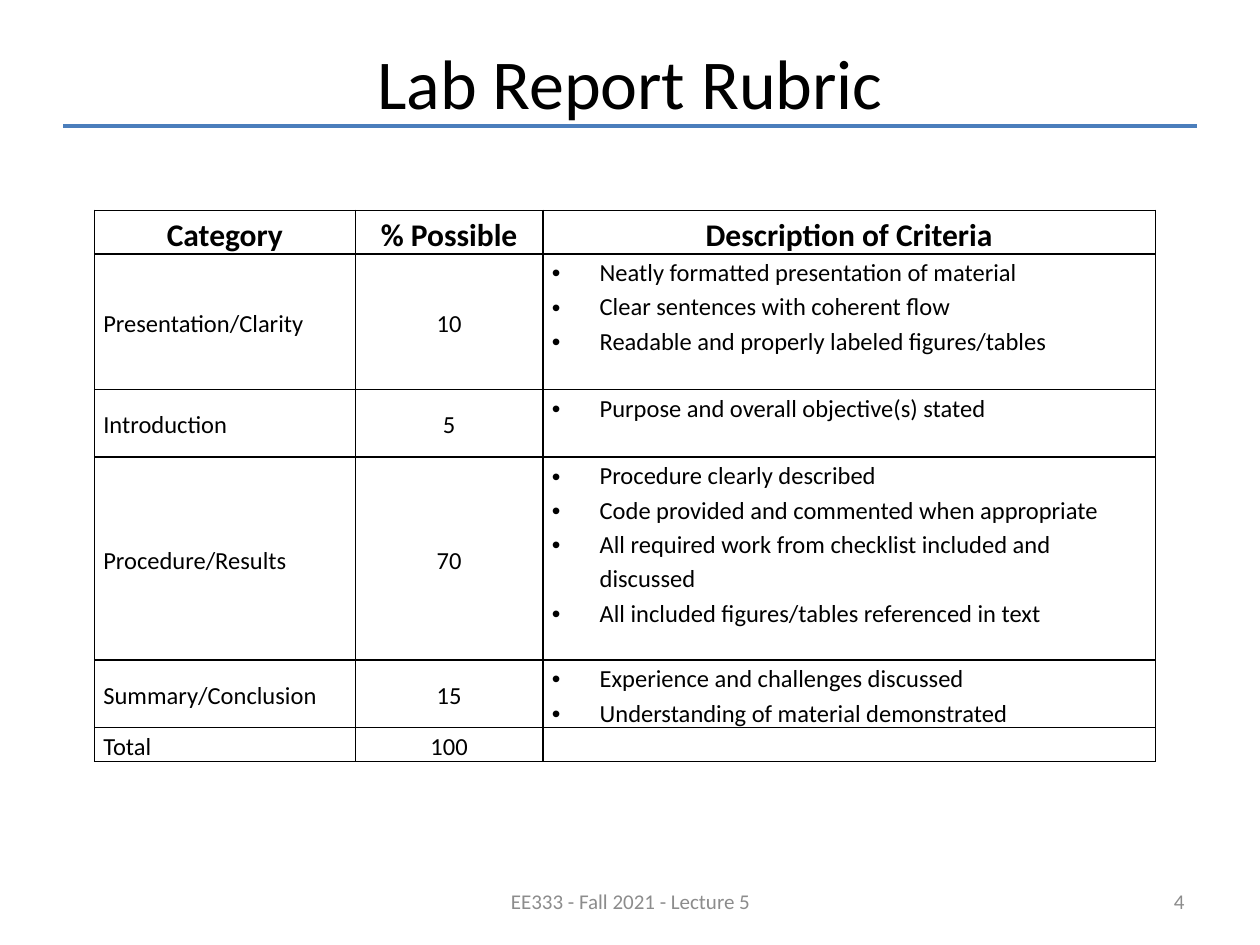
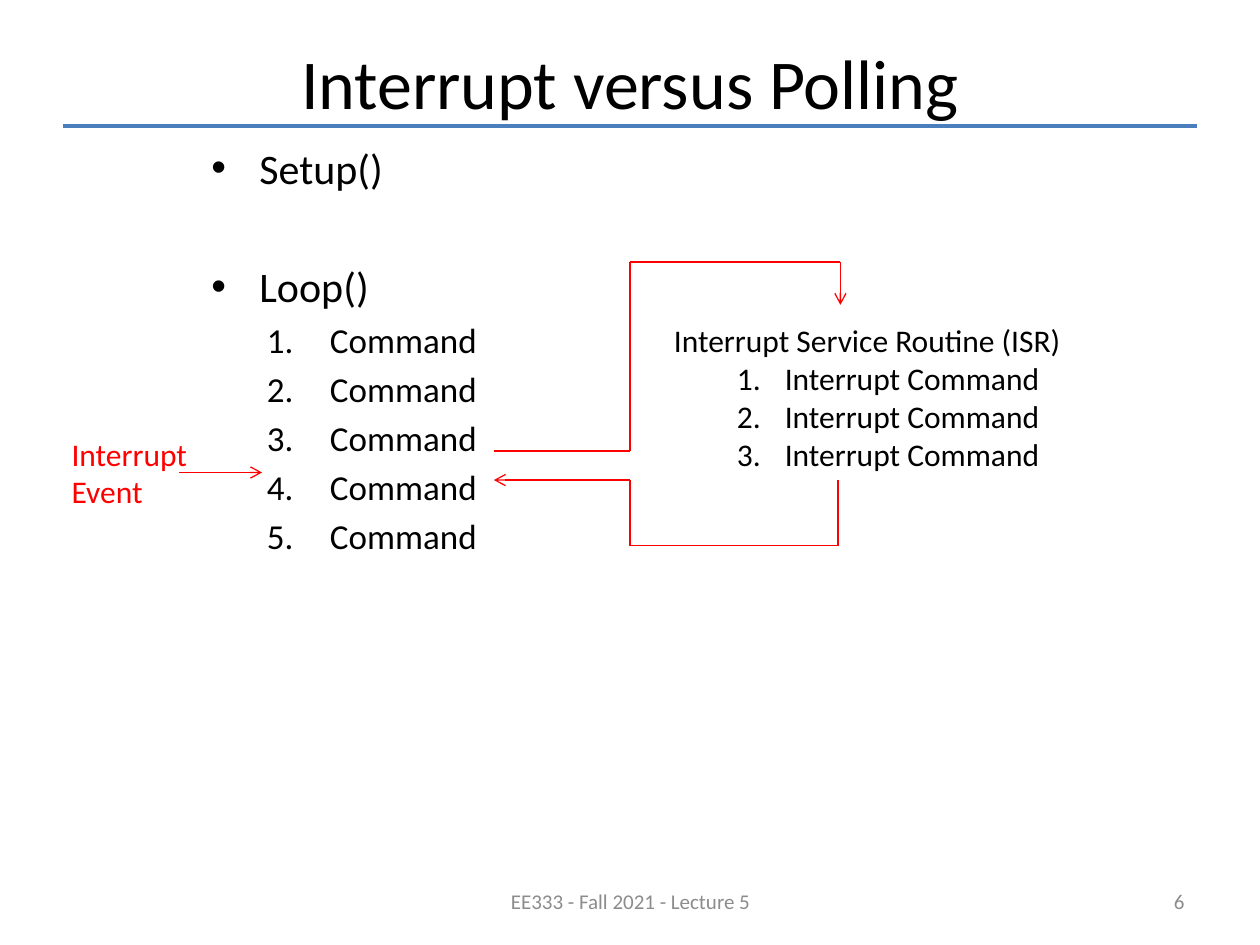
"""Build two lecture slides: a lab report rubric and an interrupt diagram."""
import lxml.etree
import pptx
import pptx.dml.color
import pptx.enum.shapes
import pptx.enum.text
import pptx.oxml.ns
import pptx.util

Inches = pptx.util.Inches
Pt = pptx.util.Pt
RGBColor = pptx.dml.color.RGBColor
ALIGN = pptx.enum.text.PP_ALIGN
ANCHOR = pptx.enum.text.MSO_ANCHOR
qn = pptx.oxml.ns.qn

BLACK = RGBColor(0x00, 0x00, 0x00)
BLUE = RGBColor(0x4B, 0x7E, 0xBC)
GRAY = RGBColor(0x8C, 0x8C, 0x8C)
RED = RGBColor(0xFF, 0x00, 0x00)
FONT = "Calibri"
FOOTER = "EE333 - Fall 2021 - Lecture 5"

HEADS = ["Category", "% Possible", "Description of Criteria"]
WIDTHS = [2.07, 1.49, 4.86]
HEIGHTS = [0.33, 1.03, 0.51, 1.28, 0.51, 0.26]
LINE_GAP = 0.27
RUBRIC = [
    ("Presentation/Clarity", "10", LINE_GAP, [
        "Neatly formatted presentation of material",
        "Clear sentences with coherent flow",
        "Readable and properly labeled figures/tables"]),
    ("Introduction", "5", LINE_GAP, ["Purpose and overall objective(s) stated"]),
    ("Procedure/Results", "70", LINE_GAP, [
        "Procedure clearly described",
        "Code provided and commented when appropriate",
        "All required work from checklist included and discussed",
        "All included figures/tables referenced in text"]),
    ("Summary/Conclusion", "15", 0, [
        "Experience and challenges discussed",
        "Understanding of material demonstrated"]),
    ("Total", "100", 0, []),
]


def add_par(frame, text, size, color=BLACK, align=ALIGN.LEFT, bold=False):
    """Write text in the first empty paragraph or a new one."""
    par = frame.paragraphs[-1]
    if par.text:
        par = frame.add_paragraph()
    par.text = text
    par.alignment = align
    for run in par.runs:
        font = run.font
        font.name, font.size, font.bold = FONT, Pt(size), bold
        font.color.rgb = color
    return par


def add_mark(par, left, hang, number=False):
    """Give a paragraph a hanging bullet or an automatic number."""
    props = par._p.get_or_add_pPr()
    props.set("marL", str(Inches(left)))
    props.set("indent", str(-Inches(hang)))
    if number:
        lxml.etree.SubElement(props, qn("a:buFont"), typeface="+mj-lt")
        lxml.etree.SubElement(props, qn("a:buAutoNum"), type="arabicPeriod")
    else:
        lxml.etree.SubElement(props, qn("a:buFont"), typeface="Arial")
        lxml.etree.SubElement(props, qn("a:buChar"), char="•")


def add_box(slide, left, top, width, height, anchor=ANCHOR.TOP, wrap=True):
    """Add a text box and return its text frame."""
    box = slide.shapes.add_textbox(
        Inches(left), Inches(top), Inches(width), Inches(height))
    frame = box.text_frame
    frame.word_wrap = wrap
    frame.vertical_anchor = anchor
    return frame


def add_line(slide, start, end, color=RED, width=0.75, arrow=False):
    """Draw a straight line, with an arrowhead at its end if asked."""
    line = slide.shapes.add_connector(
        pptx.enum.shapes.MSO_CONNECTOR.STRAIGHT,
        *[Inches(value) for value in (*start, *end)])
    line.line.color.rgb = color
    line.line.width = Pt(width)
    if arrow:
        lxml.etree.SubElement(
            line.line._get_or_add_ln(), qn("a:tailEnd"), type="arrow")
    lxml.etree.SubElement(line._element.spPr, qn("a:effectLst"))


def add_route(slide, points):
    """Draw lines through the points, ending in an arrow."""
    for index, (start, end) in enumerate(zip(points, points[1:]), 2):
        add_line(slide, start, end, arrow=index == len(points))


def add_slide(deck, title, number):
    """Add a slide with the shared title, rule and footer."""
    slide = deck.slides.add_slide(deck.slide_layouts[6])
    add_line(slide, (0.5, 1), (9.5, 1), BLUE, 2)
    frame = add_box(slide, 0.5, 0.3, 9, 0.7, ANCHOR.MIDDLE)
    add_par(frame, title, 40, align=ALIGN.CENTER)
    frame = add_box(slide, 3.42, 6.95, 3.17, 0.4, ANCHOR.MIDDLE)
    add_par(frame, FOOTER, 12, GRAY, ALIGN.CENTER)
    frame = add_box(slide, 7.17, 6.95, 2.33, 0.4, ANCHOR.MIDDLE)
    add_par(frame, str(number), 12, GRAY, ALIGN.RIGHT)
    return slide


def style_cell(cell):
    """Give a cell black borders, no fill and narrow margins."""
    props = cell._tc.get_or_add_tcPr()
    for side in ("lnL", "lnR", "lnT", "lnB"):
        edge = lxml.etree.SubElement(props, qn("a:" + side), w=str(Pt(1)))
        fill = lxml.etree.SubElement(edge, qn("a:solidFill"))
        lxml.etree.SubElement(fill, qn("a:srgbClr"), val=str(BLACK))
    cell.fill.background()
    cell.margin_left = cell.margin_right = Inches(0.07)
    cell.margin_top = cell.margin_bottom = 0
    cell.vertical_anchor = ANCHOR.MIDDLE


def fill_cell(cell, lines, size=14, align=ALIGN.LEFT, bold=False, bullet=False):
    """Write the lines of a cell."""
    for text in lines:
        par = add_par(cell.text_frame, text, size, align=align, bold=bold)
        par.line_spacing = 1.15
        if bullet:
            add_mark(par, 0.38, 0.38)
    if not lines:
        par = cell.text_frame.paragraphs[0]
        lxml.etree.SubElement(par._p, qn("a:endParaRPr"), sz=str(size * 100))


def add_rubric(slide):
    """Add the grading table."""
    table = slide.shapes.add_table(
        len(HEIGHTS), len(WIDTHS), Inches(0.75), Inches(1.67),
        Inches(sum(WIDTHS)), Inches(sum(HEIGHTS))).table
    table.first_row = table.horz_banding = False
    for column, width in zip(table.columns, WIDTHS):
        column.width = Inches(width)
    for row, height in zip(table.rows, HEIGHTS):
        row.height = Inches(height)
    for cell in table.iter_cells():
        style_cell(cell)
    for col, head in enumerate(HEADS):
        fill_cell(table.cell(0, col), [head], 18, ALIGN.CENTER, True)
    for row, (name, points, gap, rules) in enumerate(RUBRIC, 1):
        fill_cell(table.cell(row, 0), [name])
        fill_cell(table.cell(row, 1), [points], align=ALIGN.CENTER)
        fill_cell(table.cell(row, 2), rules, bullet=True)
        table.cell(row, 2).margin_bottom = Inches(gap)


def add_code(slide):
    """List the setup and loop steps of the main program."""
    frame = add_box(slide, 1.58, 1.08, 7.92, 5.62)
    for text, space in (("Setup()", 4.8), ("Loop()", 38.9)):
        par = add_par(frame, text, 24)
        par.space_before = Pt(space)
        add_mark(par, 0.38, 0.38)
    for _ in range(5):
        par = add_par(frame, "Command", 20)
        par.level = 1
        par.space_before = Pt(4)
        add_mark(par, 0.94, 0.5, number=True)


def add_isr(slide):
    """List the steps of the interrupt routine."""
    frame = add_box(slide, 5.25, 2.5, 3.31, 1.31, wrap=False)
    add_par(frame, "Interrupt Service Routine (ISR)", 18)
    for _ in range(3):
        par = add_par(frame, "Interrupt Command", 18)
        par.level = 1
        add_mark(par, 0.88, 0.38, number=True)


def add_event(slide):
    """Label the interrupt event and point to the loop."""
    add_line(slide, (1.42, 3.75), (2.08, 3.75), arrow=True)
    frame = add_box(slide, 0.47, 3.4, 1.13, 0.71, wrap=False)
    for word in ("Interrupt", "Event"):
        add_par(frame, word, 18, RED)


def main():
    """Build and save the deck."""
    deck = pptx.Presentation()
    deck.slide_width, deck.slide_height = Inches(10), Inches(7.5)
    add_rubric(add_slide(deck, "Lab Report Rubric", 4))
    slide = add_slide(deck, "Interrupt versus Polling", 6)
    add_code(slide)
    add_isr(slide)
    add_event(slide)
    add_route(slide, [(3.92, 3.58), (5, 3.58), (5, 2.08), (6.67, 2.08), (6.67, 2.42)])
    add_route(slide, [(6.65, 3.81), (6.65, 4.33), (5, 4.33), (5, 3.81), (3.92, 3.81)])
    deck.save("out.pptx")


if __name__ == "__main__":
    main()
